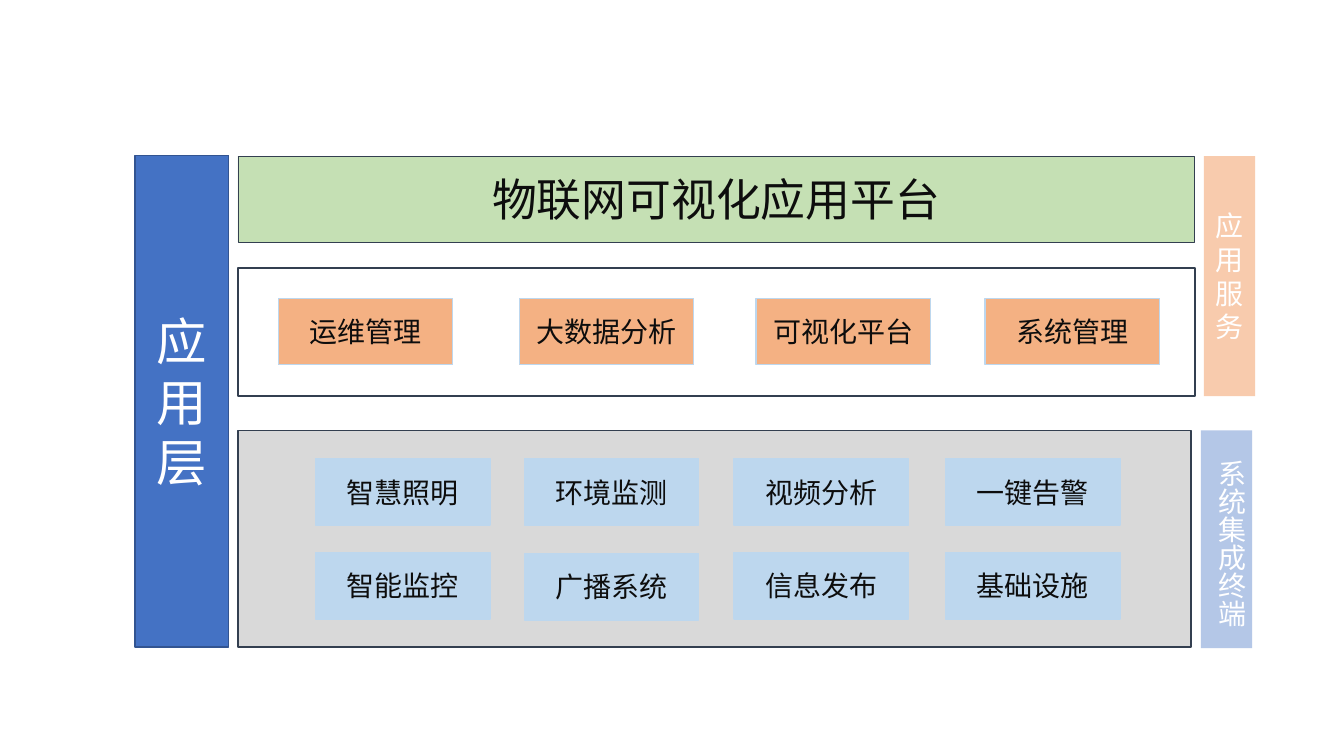
"""Build the application-layer architecture slide."""
from dataclasses import dataclass

from lxml import etree
from pptx import Presentation
from pptx import util as u
from pptx.dml import color
from pptx.enum import shapes, text
from pptx.oxml import ns

FONT = "Noto Sans CJK SC"
DARK, WHITE, NAVY, SKY, ORANGE = "0D0D0D", "FFFFFF", "333F50", "BDD7EE", "F4B183"
CELL_W, CELL_H = 1.73, 0.66


@dataclass
class Box:
    """A filled rectangle with an optional outline and label."""
    left: float
    top: float
    width: float
    height: float
    fill: str
    line: str = ""
    weight: float = 1
    label: str = ""
    size: int = 20
    ink: str = DARK


def rgb(value: str) -> color.RGBColor:
    """Turn a hex string into a colour."""
    return color.RGBColor.from_string(value)


def apply(target, values: dict) -> None:
    """Set every attribute in a dict of format values."""
    for name, value in values.items():
        setattr(target, name, value)


def write(tf, label: str, size: int, ink: str, align=None) -> None:
    """Fill a text frame with one paragraph per line of the label."""
    for i, line in enumerate(label.split("\n")):
        p = tf.add_paragraph() if i else tf.paragraphs[0]
        p.alignment = align
        r = p.add_run()
        r.text = line
        apply(r.font, {"name": FONT, "size": u.Pt(size)})
        r.font.color.rgb = rgb(ink)
        ea = etree.SubElement(r.font._element, ns.qn("a:ea"))
        ea.set("typeface", FONT)


def draw_box(s, box: Box) -> None:
    """Draw a box with its centred label."""
    sp = s.shapes.add_shape(
        shapes.MSO_SHAPE.RECTANGLE,
        *map(u.Inches, (box.left, box.top, box.width, box.height)))
    sp.shadow.inherit = False
    sp.fill.solid()
    sp.fill.fore_color.rgb = rgb(box.fill)
    if box.line:
        sp.line.color.rgb = rgb(box.line)
        sp.line.width = u.Pt(box.weight)
    else:
        sp.line.fill.background()
    if box.label:
        apply(sp.text_frame, {"word_wrap": True,
                              "vertical_anchor": text.MSO_ANCHOR.MIDDLE})
        write(sp.text_frame, box.label, box.size, box.ink, text.PP_ALIGN.CENTER)


def draw_vertical_label(s, left: float, top: float, width: float,
                        height: float, label: str) -> None:
    """Draw a label that reads from top to bottom."""
    sp = s.shapes.add_textbox(*map(u.Inches, (left, top, width, height)))
    tf = sp.text_frame
    apply(tf, {"word_wrap": False,
               "auto_size": text.MSO_AUTO_SIZE.SHAPE_TO_FIT_TEXT})
    sp.element.txBody.bodyPr.set("vert", "eaVert")
    write(tf, label, 20, WHITE)


def cell(left: float, top: float, fill: str, label: str) -> Box:
    """Describe a module cell of the common size."""
    return Box(left, top, CELL_W, CELL_H, fill, SKY, label=label)


TERMINALS = [
    (3.13, "智慧照明", 5.48, "智能监控"),
    (5.2, "环境监测", 5.49, "广播系统"),
    (7.28, "视频分析", 5.48, "信息发布"),
    (9.38, "一键告警", 5.48, "基础设施"),
]
SERVICES = [(2.76, "运维管理"), (5.15, "大数据分析"),
            (7.5, "可视化平台"), (9.77, "系统管理")]

BOXES = [Box(2.36, 4.27, 9.45, 2.15, "D9D9D9", NAVY, 1.25)]
for x, upper, lower_top, lower in TERMINALS:
    BOXES += [cell(x, 4.55, SKY, upper), cell(x, lower_top, SKY, lower)]
BOXES.append(Box(2.36, 2.66, 9.49, 1.27, WHITE, NAVY, 1.25))
BOXES += [cell(x, 2.96, ORANGE, label) for x, label in SERVICES]
BOXES += [
    Box(2.36, 1.55, 9.49, 0.85, "C5E0B4", NAVY, 0.5, "物联网可视化应用平台", 32),
    Box(11.91, 4.27, 0.51, 2.16, "B4C7E7"),
    Box(11.94, 1.55, 0.51, 2.38, "F8CBAD", label="应用服务", ink=WHITE),
    Box(1.34, 1.54, 0.93, 4.88, "4472C4", "325491", 1, "应\n用\n层", 36, WHITE),
]

prs = Presentation()
apply(prs, {"slide_width": u.Inches(13.33), "slide_height": u.Inches(7.5)})
s = prs.slides.add_slide(prs.slide_layouts[6])
for item in BOXES:
    draw_box(s, item)
draw_vertical_label(s, 11.89, 4.46, 0.54, 1.78, "系统集成终端")
prs.save("out.pptx")
